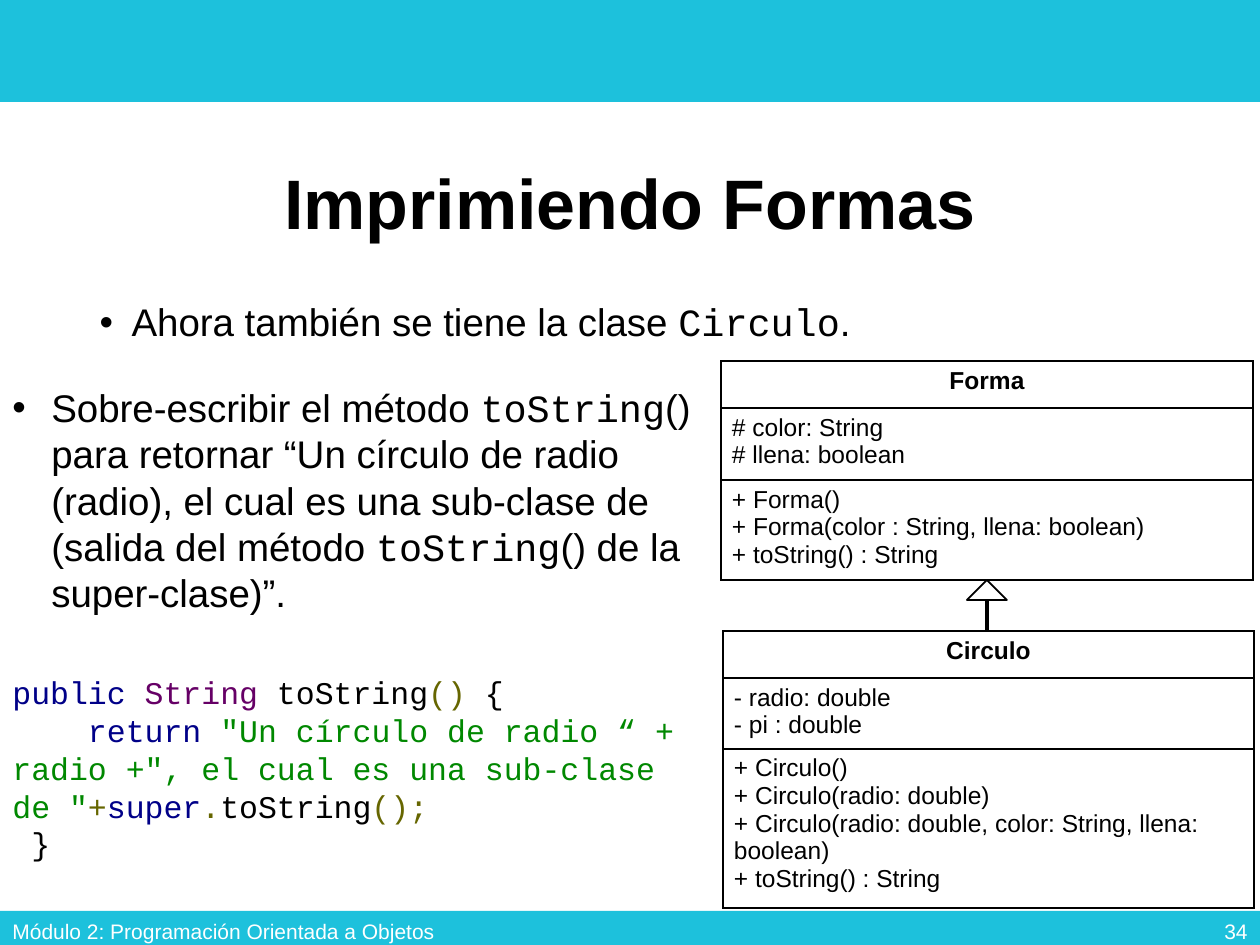
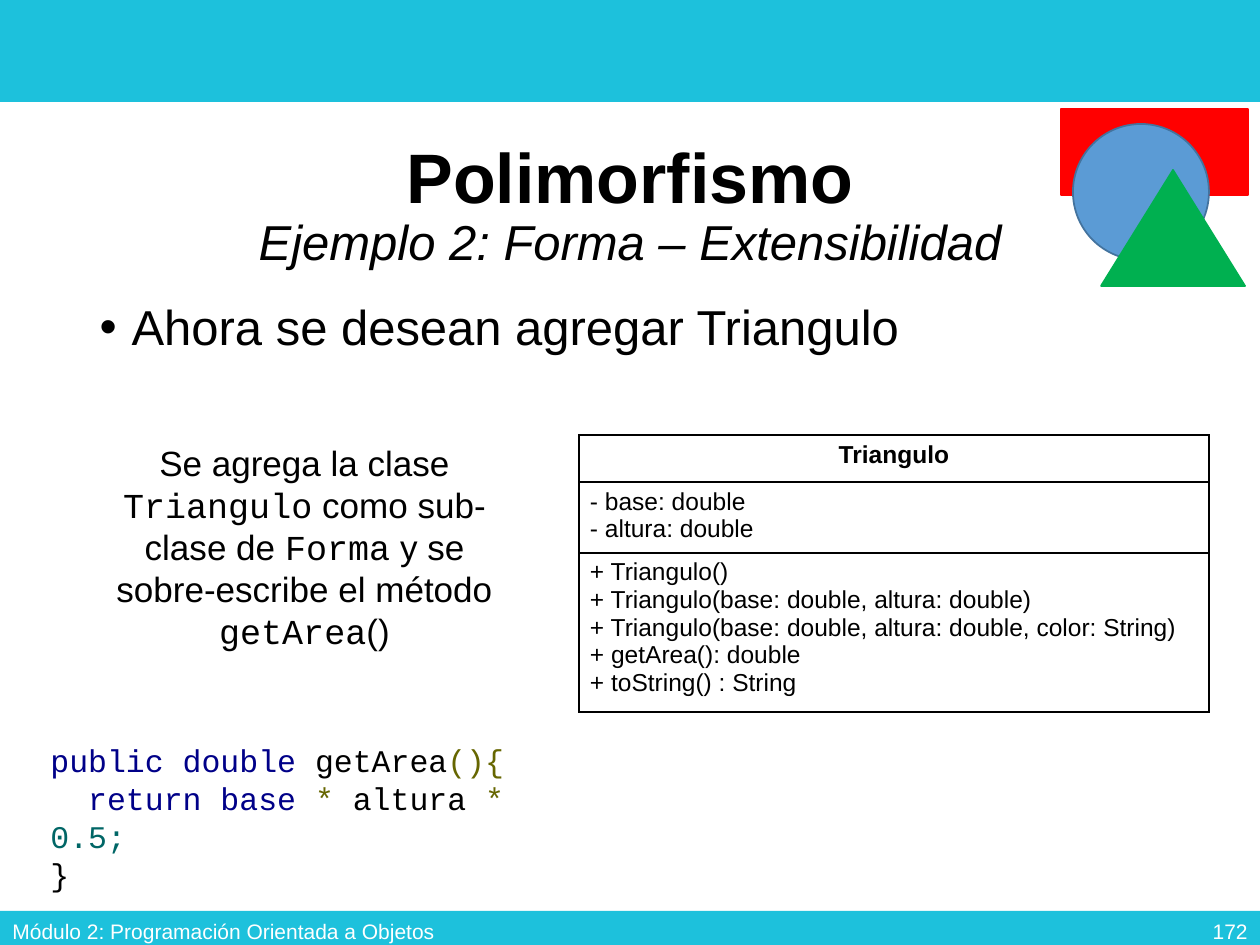
from typing import NamedTuple

from lxml import etree
from pptx import Presentation
from pptx import util as u
from pptx.dml.color import RGBColor
from pptx.enum import shapes, text
from pptx.oxml.ns import qn

PX = u.Inches(1) / 126
SANS, MONO = "Arial", "Courier New"
BLACK = RGBColor(0, 0, 0)
WHITE = RGBColor(255, 255, 255)
BAND = RGBColor(0x1D, 0xC1, 0xDC)
KEYWORD = RGBColor(0, 0, 0x88)
TYPE = RGBColor(0x66, 0, 0x66)
SYMBOL = RGBColor(0x66, 0x66, 0)
STRING = RGBColor(0, 0x88, 0)
NUMBER = RGBColor(0, 0x66, 0x66)
RED = RGBColor(255, 0, 0)
BLUE = RGBColor(0x5B, 0x9B, 0xD5)
NAVY = RGBColor(0x43, 0x73, 0x9E)
GREEN = RGBColor(0, 0xB0, 0x50)
LEFT, CENTER, RIGHT = text.PP_ALIGN.LEFT, text.PP_ALIGN.CENTER, text.PP_ALIGN.RIGHT
KIND = shapes.MSO_SHAPE


class Area(NamedTuple):
    left: int
    top: int
    width: int
    height: int


class Span(NamedTuple):
    text: str
    font: str = SANS
    color: RGBColor = BLACK


class Figure(NamedTuple):
    kind: int
    area: Area
    fill: RGBColor
    line: RGBColor


class ClassBox(NamedTuple):
    left: int
    top: int
    width: int
    heights: tuple[int, int, int]
    name: str
    fields: list[str]
    methods: list[str]


TITLE_AREA = Area(87, 123, 1086, 168)
BODY_AREA = Area(87, 297, 1086, 600)
BANDS = [Area(0, 0, 1260, 102), Area(0, 911, 1260, 39)]
FOOTER = "Módulo 2: Programación Orientada a Objetos"

FORMA = ClassBox(
    721, 361, 532, (47, 72, 94), "Forma",
    ["# color: String", "# llena: boolean"],
    ["+ Forma()", "+ Forma(color : String, llena: boolean)", "+ toString() : String"])
CIRCULO = ClassBox(
    723, 631, 531, (47, 69, 159), "Circulo",
    ["- radio: double", "- pi : double"],
    ["+ Circulo()", "+ Circulo(radio: double)",
     "+ Circulo(radio: double, color: String, llena: boolean)", "+ toString() : String"])
TRIANGULO = ClassBox(
    579, 435, 630, (47, 66, 149), "Triangulo",
    ["- base: double", "- altura: double"],
    ["+ Triangulo()", "+ Triangulo(base: double, altura: double)",
     "+ Triangulo(base: double, altura: double, color: String)",
     "+ getArea(): double", "+ toString() : String"])
FIGURES = [
    Figure(KIND.RECTANGLE, Area(1061, 109, 187, 86), RED, RED),
    Figure(KIND.OVAL, Area(1073, 124, 136, 136), BLUE, NAVY),
    Figure(KIND.ISOSCELES_TRIANGLE, Area(1101, 170, 144, 116), GREEN, GREEN),
]


def emu(*lengths: int) -> list[int]:
    return [round(length * PX) for length in lengths]


def code(content: str, color: RGBColor = BLACK) -> Span:
    return Span(content, MONO, color)


def style(span, size: int, font: str = SANS, color: RGBColor = BLACK,
          bold: bool = False, italic: bool = False) -> None:
    span.font.size = u.Pt(size)
    span.font.name = font
    span.font.color.rgb = color
    span.font.bold = bold
    span.font.italic = italic


def write(para, spans: list[Span], size: int) -> None:
    for part in spans:
        span = para.add_run()
        span.text = part.text
        style(span, size, part.font, part.color)


def add_bullet(para, indent: int) -> None:
    properties = para._p.get_or_add_pPr()
    margin = emu(indent)[0]
    properties.set("marL", str(margin))
    properties.set("indent", str(-margin))
    etree.SubElement(properties, qn("a:buFont")).set("typeface", SANS)
    etree.SubElement(properties, qn("a:buChar")).set("char", "•")


def add_figure(page, figure: Figure):
    shape = page.shapes.add_shape(figure.kind, *emu(*figure.area))
    shape.shadow.inherit = False
    shape.fill.solid()
    shape.fill.fore_color.rgb = figure.fill
    shape.line.color.rgb = figure.line
    shape.line.width = u.Pt(1)
    return shape


def add_text(page, area: Area, lines: list[list[Span]], size: int,
             align: int = LEFT, anchor: int = text.MSO_ANCHOR.TOP):
    box = page.shapes.add_textbox(*emu(*area))
    frame = box.text_frame
    frame.word_wrap = True
    frame.vertical_anchor = anchor
    for index, spans in enumerate(lines):
        para = frame.add_paragraph() if index else frame.paragraphs[0]
        para.alignment = align
        write(para, spans, size)
    return box


def add_page(deck, title: str, number: int, body: list[Span], body_size: int):
    page = deck.slides.add_slide(deck.slide_layouts[1])
    heading, content = page.shapes.title, page.placeholders[1]
    for holder, area in ((heading, TITLE_AREA), (content, BODY_AREA)):
        holder.left, holder.top, holder.width, holder.height = emu(*area)
    heading.text_frame.text = title
    heading.text_frame.vertical_anchor = text.MSO_ANCHOR.MIDDLE
    para = heading.text_frame.paragraphs[0]
    para.alignment = CENTER
    para.line_spacing = 0.9
    for index, span in enumerate(para.runs):
        style(span, 28 if index else 40, bold=not index, italic=bool(index))
    for line_break in para._p.findall(qn("a:br")):
        etree.SubElement(line_break, qn("a:rPr")).set("sz", "4000")
    para = content.text_frame.paragraphs[0]
    add_bullet(para, 32)
    para.line_spacing = 0.9
    para.space_before = u.Pt(0)
    write(para, body, body_size)
    middle = text.MSO_ANCHOR.MIDDLE
    add_text(page, Area(0, 906, 459, 50), [[Span(FOOTER, color=WHITE)]], 12, LEFT, middle)
    add_text(page, Area(976, 906, 284, 50), [[Span(str(number), color=WHITE)]], 12, RIGHT, middle)
    return page


def add_master_bands(deck, page) -> None:
    for area in BANDS:
        band = add_figure(page, Figure(KIND.RECTANGLE, area, BAND, BAND))
        band.line.fill.background()
        deck.slide_master.shapes._spTree.insert(2, band._element)


def add_borders(cell) -> None:
    properties = cell._tc.get_or_add_tcPr()
    for side in ("lnL", "lnR", "lnT", "lnB"):
        line = etree.SubElement(properties, qn(f"a:{side}"), w=str(u.Pt(1)))
        fill = etree.SubElement(line, qn("a:solidFill"))
        etree.SubElement(fill, qn("a:srgbClr")).set("val", str(BLACK))


def add_class(page, item: ClassBox) -> None:
    area = Area(item.left, item.top, item.width, sum(item.heights))
    table = page.shapes.add_table(3, 1, *emu(*area)).table
    table.first_row = table.horz_banding = False
    for index, lines in enumerate(([item.name], item.fields, item.methods)):
        table.rows[index].height = emu(item.heights[index])[0]
        cell = table.cell(index, 0)
        add_borders(cell)
        cell.fill.solid()
        cell.fill.fore_color.rgb = WHITE
        cell.margin_left = cell.margin_right = emu(11)[0]
        cell.margin_top = cell.margin_bottom = emu(6)[0]
        cell.text_frame.text = "\n".join(lines)
        for para in cell.text_frame.paragraphs:
            para.alignment = LEFT if index else CENTER
            style(para.runs[0], 14, bold=not index)


def add_inheritance(page) -> None:
    head = add_figure(page, Figure(KIND.ISOSCELES_TRIANGLE, Area(967, 580, 40, 20), WHITE, BLACK))
    stem = page.shapes.add_connector(shapes.MSO_CONNECTOR.STRAIGHT, *emu(987, 600, 987, 654))
    stem.line.color.rgb = BLACK
    stem.line.width = u.Pt(2.25)
    etree.SubElement(stem._element.spPr, qn("a:effectLst"))
    page.shapes.add_group_shape([head, stem])


def build_printing(deck) -> None:
    page = add_page(deck, "Imprimiendo Formas", 34,
                    [Span("Ahora también se tiene la clase "), code("Circulo"), Span(".")], 22)
    add_master_bands(deck, page)
    add_class(page, FORMA)
    add_text(page, Area(0, 667, 707, 204), [
        [code("public ", KEYWORD), code("String ", TYPE), code("toString"),
         code("()", SYMBOL), code(" {")],
        [code("    return ", KEYWORD),
         code('"Un círculo de radio “ + radio +", el cual es una sub-clase de "', STRING),
         code("+", SYMBOL), code("super", KEYWORD), code(".", SYMBOL),
         code("toString"), code("();", SYMBOL)],
        [code(" }")],
    ], 18)
    box = add_text(page, Area(0, 378, 707, 246), [[
        Span("Sobre-escribir el método "), code("toString"),
        Span("() para retornar “Un círculo de radio (radio), el cual es una sub-clase de "
             "(salida del método "),
        code("toString"), Span("() de la super-clase)”."),
    ]], 22)
    add_bullet(box.text_frame.paragraphs[0], 39)
    add_inheritance(page)
    add_class(page, CIRCULO)


def build_polymorphism(deck) -> None:
    page = add_page(deck, "Polimorfismo\vEjemplo 2: Forma – Extensibilidad", 172,
                    [Span("Ahora se desean agregar Triangulo")], 28)
    for figure in FIGURES:
        add_figure(page, figure)
    add_class(page, TRIANGULO)
    add_text(page, Area(87, 435, 435, 224), [[
        Span("Se agrega la clase "), code("Triangulo"), Span(" como sub-clase de "),
        code("Forma"), Span(" y se sobre-escribe el método "), code("getArea"), Span("()"),
    ]], 20, CENTER)
    add_text(page, Area(38, 735, 532, 127), [
        [code("public double ", KEYWORD), code("getArea"), code("(){", SYMBOL)],
        [code("  return base ", KEYWORD), code("*", SYMBOL), code(" altura "),
         code("* ", SYMBOL), code("0.5;", NUMBER)],
        [code("}")],
    ], 18)


def main() -> None:
    deck = Presentation()
    deck.slide_width, deck.slide_height = emu(1260, 945)
    build_printing(deck)
    build_polymorphism(deck)
    deck.save("out.pptx")


if __name__ == "__main__":
    main()
